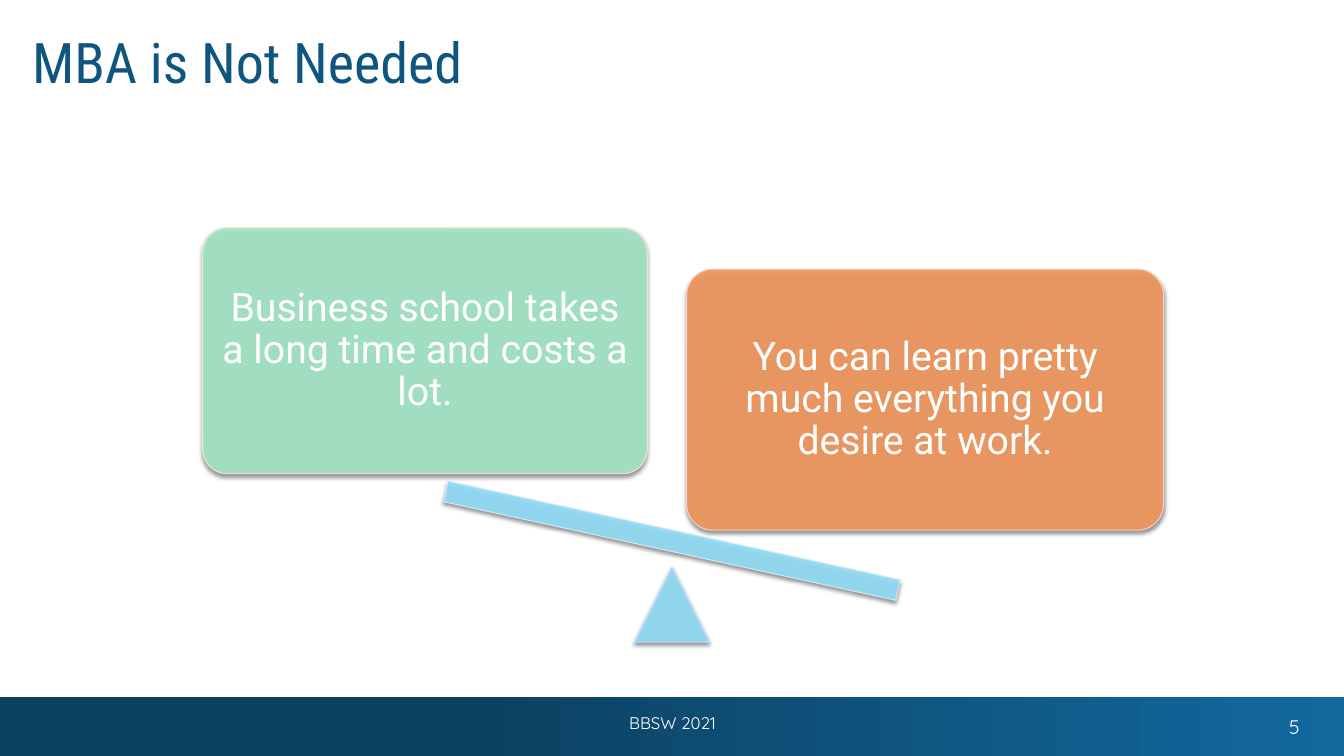
import pptx
import pptx.util
import pptx.dml.color
import pptx.enum.shapes
import pptx.enum.text
import lxml.etree

Inches, Pt = pptx.util.Inches, pptx.util.Pt
Shape = pptx.enum.shapes.MSO_SHAPE
Anchor = pptx.enum.text.MSO_ANCHOR
Align = pptx.enum.text.PP_ALIGN

WIDE, HIGH = 13.33, 7.5
BAR = 0.59
TILT = 12.3
COLORS = {
    "title": "0E5580", "white": "FFFFFF", "dark": "0B4060", "light": "12699E",
    "green": "A3E6C6", "cream": "F5E9CE", "orange": "F2975C", "pink": "F9D7CD",
    "sky": "91DCF6", "lilac": "D2DFFB", "ice": "D6EDF8", "black": "000000",
}

# words, box, font, size, colour, alignment, anchor
LABELS = [
    ("MBA is Not Needed", (0.22, 0.22, 10.29, 1.53),
     "Roboto Condensed", 40, "title", Align.LEFT, Anchor.TOP),
    ("5", (12.59, 7.02, 0.5, 0.36),
     "Quicksand", 14, "white", Align.CENTER, Anchor.BOTTOM),
    ("BBSW 2021", (4.42, 6.99, 4.5, 0.36),
     "Quicksand", 12, "white", Align.CENTER, Anchor.MIDDLE),
]
# words, box, fill, line
CARDS = [
    ("Business school takes a long time and costs a lot.",
     (2.01, 2.26, 4.41, 2.44), "green", "cream"),
    ("You can learn pretty much everything you desire at work.",
     (6.81, 2.67, 4.73, 2.59), "orange", "pink"),
]
# preset, centre height, width, height, turn, line
SCALE = [
    (Shape.ISOSCELES_TRIANGLE, 5.995, 0.75, 0.75, 0, "lilac"),
    (Shape.RECTANGLE, 5.365, 4.59, 0.21, TILT, "ice"),
]


def rgb(name):
    return pptx.dml.color.RGBColor.from_string(COLORS[name])


def tag(parent, name, **attrs):
    node = lxml.etree.SubElement(parent, pptx.oxml.ns.qn("a:" + name))
    for key, value in attrs.items():
        node.set(key, str(value))
    return node


def fade(paint, share):
    """Set the opacity of a solid fill, in percent."""
    hue = paint._xPr.find(".//" + pptx.oxml.ns.qn("a:srgbClr"))
    tag(hue, "alpha", val=share * 1000)


def write(frame, words, font, size, color, align, anchor):
    frame.word_wrap = True
    frame.vertical_anchor = anchor
    para = frame.paragraphs[0]
    para.alignment = align
    run = para.add_run()
    run.text = words
    run.font.name, run.font.size = font, Pt(size)
    run.font.color.rgb = rgb(color)
    return para


def block(slide, kind, box, fill, line):
    """Add a slightly clear shape with a soft shadow below it."""
    shape = slide.shapes.add_shape(kind, *map(Inches, box))
    shape.fill.solid()
    shape.fill.fore_color.rgb = rgb(fill)
    fade(shape.fill, 90)
    shape.line.color.rgb = rgb(line)
    shape.line.width = Pt(0.75)
    fade(shape.line.fill, 90)
    shape.shadow.inherit = False
    effects = shape._element.spPr.find(pptx.oxml.ns.qn("a:effectLst"))
    shade = tag(effects, "outerShdw", blurRad=Pt(3), dist=Pt(2),
                dir=90 * 60000, rotWithShape=0)
    tag(tag(shade, "srgbClr", val=COLORS["black"]), "alpha", val=45000)
    return shape


def main():
    deck = pptx.Presentation()
    deck.slide_width, deck.slide_height = Inches(WIDE), Inches(HIGH)
    slide = deck.slides.add_slide(deck.slide_layouts[6])

    bar = slide.shapes.add_shape(
        Shape.RECTANGLE, *map(Inches, (0, HIGH - BAR, WIDE, BAR)))
    bar.shadow.inherit = False
    bar.line.fill.background()
    bar.fill.gradient()
    bar.fill.gradient_angle = 0
    stops = zip(bar.fill.gradient_stops, ((0.33, "dark"), (1, "light")))
    for stop, (place, color) in stops:
        stop.position = place
        stop.color.rgb = rgb(color)

    for words, box, *style in LABELS:
        label = slide.shapes.add_textbox(*map(Inches, box))
        write(label.text_frame, words, *style)

    for words, box, fill, line in CARDS:
        card = block(slide, Shape.ROUNDED_RECTANGLE, box, fill, line)
        card.adjustments[0] = 0.1
        frame = card.text_frame
        frame.margin_left = frame.margin_right = Inches(0.12)
        frame.margin_top = frame.margin_bottom = Inches(0.12)
        para = write(frame, words, "Roboto", 28, "white",
                     Align.CENTER, Anchor.MIDDLE)
        para.line_spacing = 0.9

    for kind, mid, wide, high, turn, line in SCALE:
        box = ((WIDE - wide) / 2, mid - high / 2, wide, high)
        block(slide, kind, box, "sky", line).rotation = turn

    deck.save("out.pptx")


if __name__ == "__main__":
    main()
